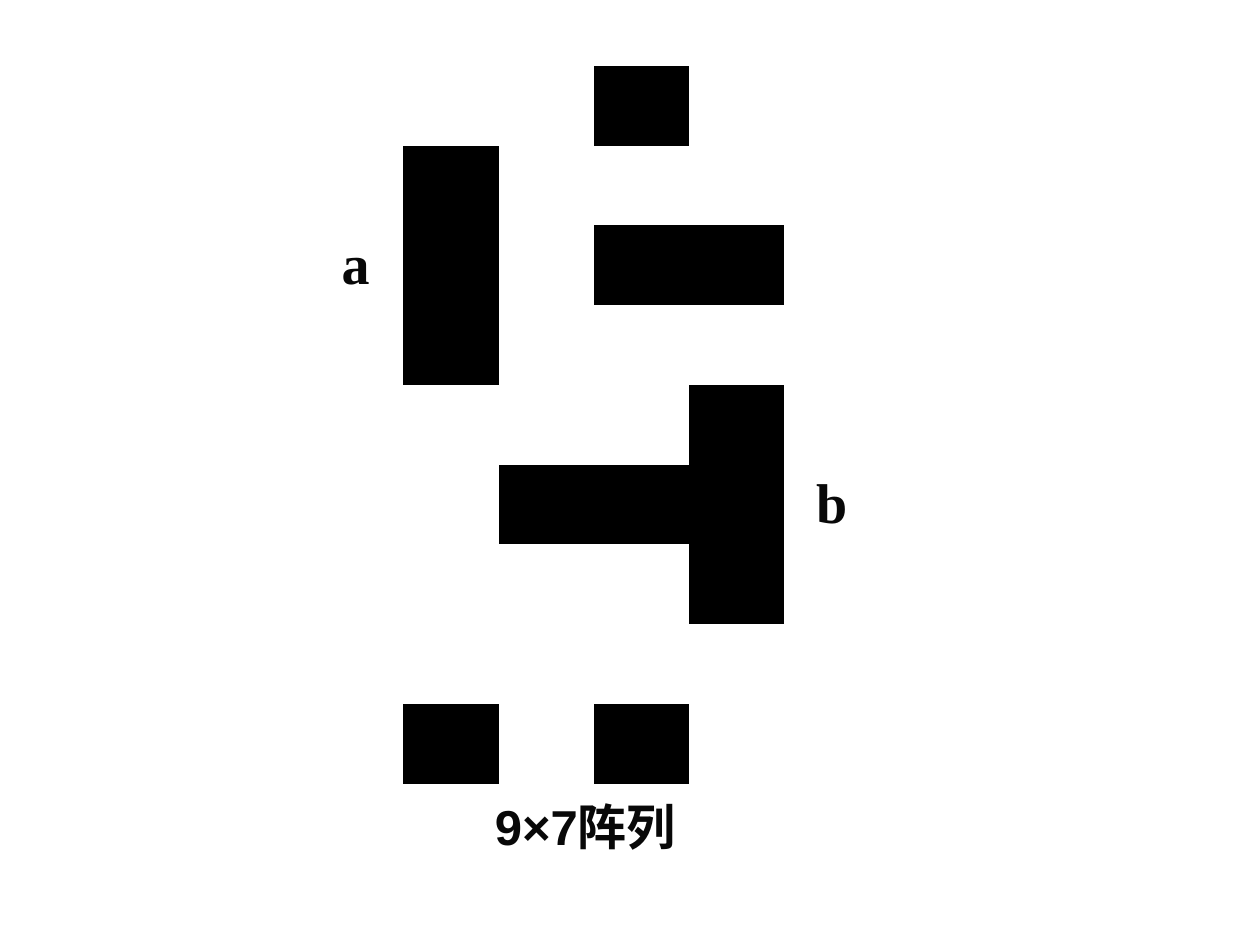
"""Draw a nine by seven array of black and white cells with two labels."""

from dataclasses import dataclass
from typing import NamedTuple

from lxml.etree import SubElement
from pptx import Presentation
from pptx.dml.color import RGBColor
from pptx.enum.text import MSO_ANCHOR, PP_ALIGN
from pptx.oxml.ns import qn
from pptx.util import Pt


@dataclass(frozen=True)
class Theme:
    black: RGBColor = RGBColor(0x00, 0x00, 0x00)
    white: RGBColor = RGBColor(0xFF, 0xFF, 0xFF)
    ink: RGBColor = RGBColor(0x08, 0x08, 0x08)
    serif: str = "Times New Roman"
    sans: str = "Arial"
    label: int = 32
    title: int = 28


class Label(NamedTuple):
    row: int
    col: int
    text: str


THEME = Theme()
GRID = (
    "....#..",
    "..#.o..",
    "..#.##.",
    "..#....",
    ".....#.",
    "...###.",
    ".....#.",
    "....o..",
    "..#.#..",
)
FILLS = {"#": THEME.black, "o": THEME.white}
LABELS = (Label(2, 1, "a"), Label(5, 6, "b"))
LEFT, TOP, WIDTH, HEIGHT = 121.7, 37.6, 54.4, 45.6


def write(frame, text: str, *, font: str, size: int) -> None:
    para = frame.paragraphs[0]
    para.alignment = PP_ALIGN.CENTER
    run = para.add_run()
    run.text = text
    run.font.name = font
    run.font.size = Pt(size)
    run.font.bold = True
    run.font.color.rgb = THEME.ink


def paint(cell, mark: str) -> None:
    props = cell._tc.get_or_add_tcPr()
    for side in ("lnL", "lnR", "lnT", "lnB"):
        line = SubElement(props, qn(f"a:{side}"), w="0")
        SubElement(line, qn("a:noFill"))
    if mark in FILLS:
        cell.fill.solid()
        cell.fill.fore_color.rgb = FILLS[mark]
    else:
        cell.fill.background()


def draw_grid(slide) -> None:
    rows, cols = len(GRID), len(GRID[0])
    table = slide.shapes.add_table(
        rows, cols, Pt(LEFT), Pt(TOP), Pt(WIDTH * cols), Pt(HEIGHT * rows)
    ).table
    table.first_row = table.horz_banding = False
    for col in table.columns:
        col.width = Pt(WIDTH)
    for row in table.rows:
        row.height = Pt(HEIGHT)
    for i, marks in enumerate(GRID):
        for j, mark in enumerate(marks):
            paint(table.cell(i, j), mark)
    for label in LABELS:
        cell = table.cell(label.row, label.col)
        cell.vertical_anchor = MSO_ANCHOR.MIDDLE
        write(cell.text_frame, label.text, font=THEME.serif, size=THEME.label)


def draw_title(slide) -> None:
    frame = slide.shapes.add_textbox(Pt(224), Pt(451.4), Pt(221), Pt(41)).text_frame
    frame.word_wrap = True
    frame.vertical_anchor = MSO_ANCHOR.MIDDLE
    write(frame, "9×7阵列", font=THEME.sans, size=THEME.title)


def main() -> None:
    deck = Presentation()
    deck.slide_width, deck.slide_height = Pt(720), Pt(540)
    slide = deck.slides.add_slide(deck.slide_layouts[6])
    draw_grid(slide)
    draw_title(slide)
    deck.save("out.pptx")


if __name__ == "__main__":
    main()
